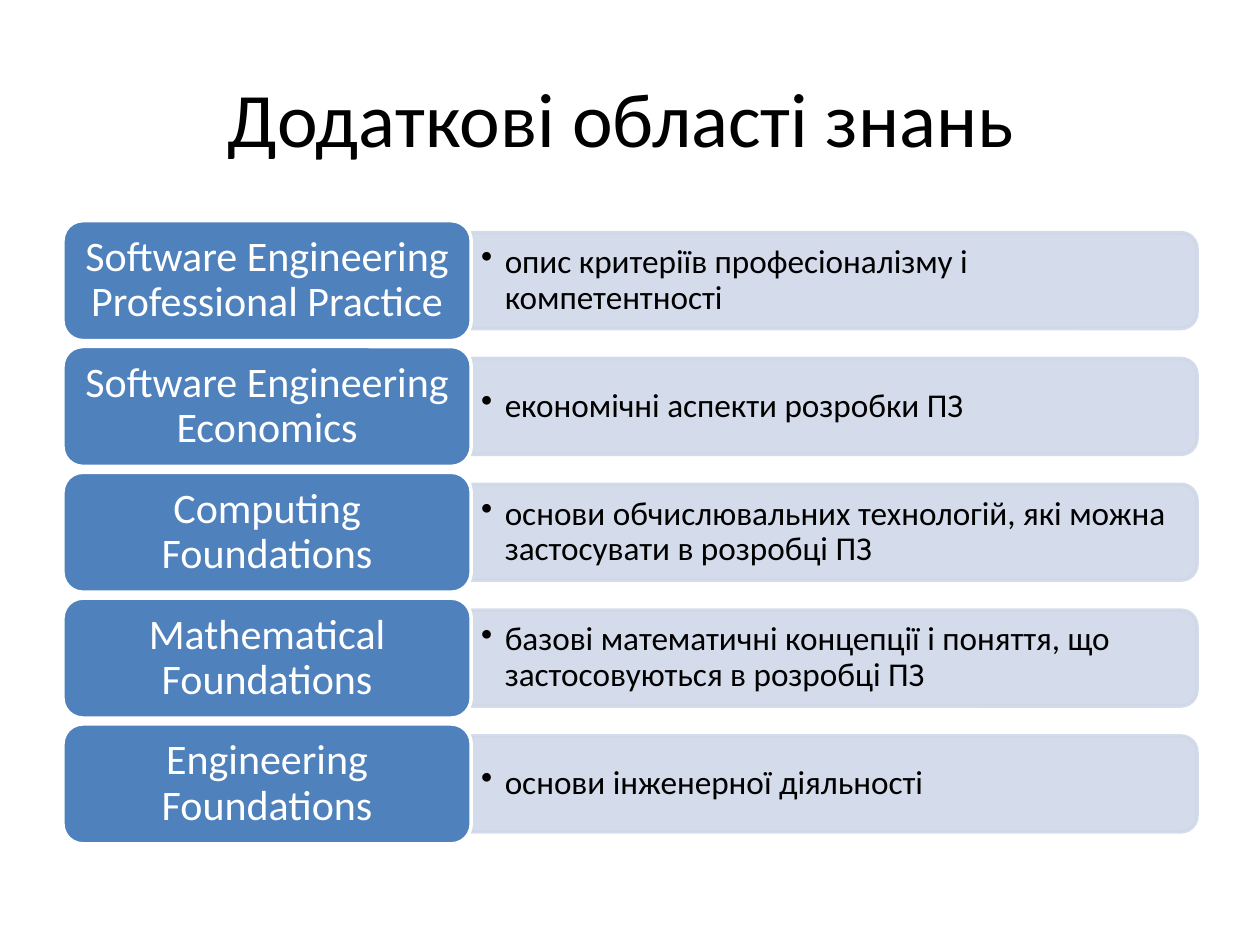
from lxml.etree import SubElement
from pptx import Presentation
from pptx.dml.color import RGBColor
from pptx.enum.shapes import MSO_SHAPE
from pptx.enum.text import MSO_ANCHOR, PP_ALIGN
from pptx.oxml.ns import qn
from pptx.util import Pt

TITLE = "Додаткові області знань "
AREAS = [
    ("Software Engineering Professional Practice",
     "опис критеріїв професіоналізму і компетентності"),
    ("Software Engineering Economics",
     "економічні аспекти розробки ПЗ"),
    ("Computing Foundations",
     "основи обчислювальних технологій, які можна застосувати в розробці ПЗ"),
    ("Mathematical Foundations",
     "базові математичні концепції і поняття, що застосовуються в розробці ПЗ"),
    ("Engineering Foundations",
     "основи інженерної діяльності"),
]
COLORS = {"text": "000000", "label": "4F81BD", "label_text": "FFFFFF", "bar": "D0D8E8"}
FONT = "Calibri"

LEFT, TOP, PITCH = 36, 126.1, 71.9
LABEL_WIDTH, LABEL_HEIGHT = 233.3, 68.5
BAR_WIDTH, BAR_HEIGHT = 414.7, 54.8
DETAIL_WIDTH, DETAIL_HEIGHT = 412, 49.4
BULLET_INDENT = 13.5


def color(name):
    return RGBColor.from_string(COLORS[name])


def write(frame, text, size, color_name, align):
    frame.word_wrap = True
    frame.vertical_anchor = MSO_ANCHOR.MIDDLE
    paragraph = frame.paragraphs[0]
    paragraph.text = text
    paragraph.alignment = align
    font = paragraph.font
    font.name, font.size = FONT, Pt(size)
    font.color.rgb = color(color_name)
    return paragraph


def add_panel(page, kind, left, top, width, height, fill, line):
    panel = page.shapes.add_shape(kind, Pt(left), Pt(top), Pt(width), Pt(height))
    panel.shadow.inherit = False
    panel.fill.solid()
    panel.fill.fore_color.rgb = color(fill)
    panel.line.color.rgb = color(line)
    panel.line.width = Pt(2)
    return panel


def add_bar(page, left, middle):
    """Add a pale bar with rounded right corners: an upright shape turned by 90 degrees."""
    center = left + BAR_WIDTH / 2
    bar = add_panel(page, MSO_SHAPE.ROUND_2_SAME_RECTANGLE,
                    center - BAR_HEIGHT / 2, middle - BAR_WIDTH / 2,
                    BAR_HEIGHT, BAR_WIDTH, "bar", "bar")
    bar.rotation = 90
    for tint in bar._element.spPr.iter(qn("a:srgbClr")):
        SubElement(tint, qn("a:alpha"), val="90000")


def add_detail(page, text, left, middle):
    box = page.shapes.add_textbox(Pt(left), Pt(middle - DETAIL_HEIGHT / 2),
                                  Pt(DETAIL_WIDTH), Pt(DETAIL_HEIGHT))
    frame = box.text_frame
    frame.margin_left = frame.margin_right = Pt(5.7)
    frame.margin_top = frame.margin_bottom = Pt(2.9)
    paragraph = write(frame, text, 19, "text", PP_ALIGN.LEFT)
    paragraph.level = 1
    paragraph.line_spacing = 0.9
    properties = paragraph._p.get_or_add_pPr()
    properties.set("marL", str(Pt(BULLET_INDENT)))
    properties.set("indent", str(-Pt(BULLET_INDENT)))
    bullet = properties.makeelement(qn("a:buChar"), {"char": "•"})
    properties.find(qn("a:defRPr")).addprevious(bullet)


def add_label(page, text, middle):
    label = add_panel(page, MSO_SHAPE.ROUNDED_RECTANGLE, LEFT, middle - LABEL_HEIGHT / 2,
                      LABEL_WIDTH, LABEL_HEIGHT, "label", "label_text")
    write(label.text_frame, text, 24, "label_text", PP_ALIGN.CENTER).line_spacing = 0.9


def main():
    deck = Presentation()
    deck.slide_width, deck.slide_height = Pt(720), Pt(540)
    page = deck.slides.add_slide(deck.slide_layouts[5])

    title = page.shapes.title
    title.left, title.top, title.width, title.height = Pt(36), Pt(21.6), Pt(648), Pt(90)
    write(title.text_frame, TITLE, 44, "text", PP_ALIGN.CENTER)

    for row, (name, detail) in enumerate(AREAS):
        middle = TOP + row * PITCH + LABEL_HEIGHT / 2
        add_bar(page, LEFT + LABEL_WIDTH, middle)
        add_detail(page, detail, LEFT + LABEL_WIDTH, middle)
        add_label(page, name, middle)

    deck.save("out.pptx")


if __name__ == "__main__":
    main()
